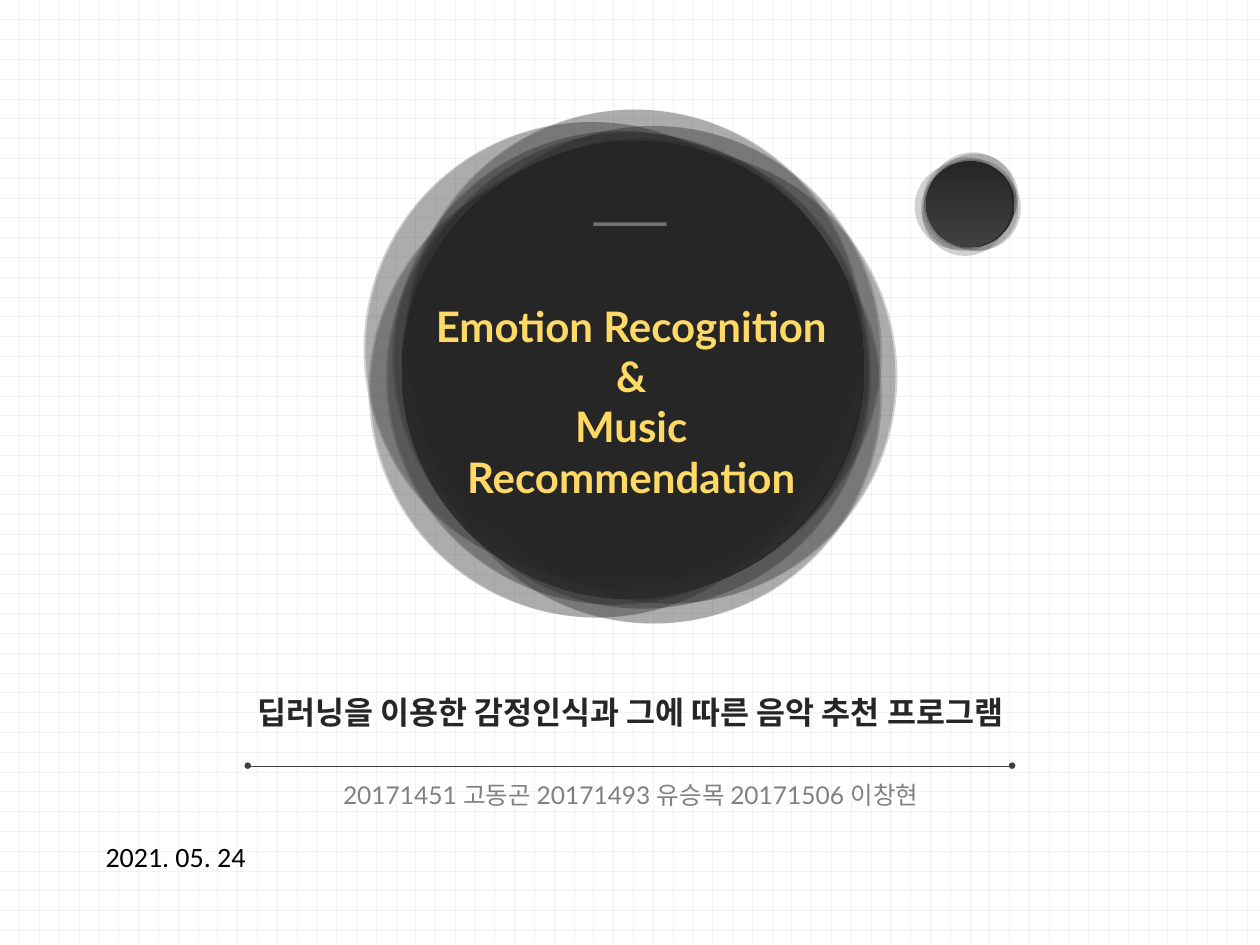
from copy import deepcopy
from dataclasses import dataclass

from lxml.etree import SubElement
from pptx import Presentation
from pptx.dml.color import RGBColor as Rgb
from pptx.enum.dml import MSO_PATTERN as Pattern
from pptx.enum.shapes import MSO_CONNECTOR as Connector, MSO_SHAPE as Preset
from pptx.enum.text import MSO_ANCHOR as Anchor, MSO_AUTO_SIZE as AutoSize, PP_ALIGN as Align
from pptx.oxml.ns import qn
from pptx.util import Cm, Pt


@dataclass(frozen=True)
class Theme:
    white: str = "FFFFFF"
    grid: str = "F2F2F2"
    ink: str = "262626"
    soft_ink: str = "404040"
    grey: str = "808080"
    gold: str = "FFD966"
    black: str = "000000"
    font: str = "Lato"
    date_font: str = "Calibri"
    title_size: int = 24
    subtitle_size: int = 18
    date_size: int = 16
    names_size: int = 14


@dataclass(frozen=True)
class Cluster:
    left: float
    top: float
    diameter: float
    base: tuple[float, float]
    sheen: tuple[float, float, float]
    rings: tuple[tuple[float, float], ...]
    has_core: bool = True


THEME = Theme()
LARGE_RINGS = (
    (0.51, -0.36), (-0.15, -0.26), (-0.28, 0.12), (0.28, 0.2), (0.03, -0.23), (0.28, -0.11),
    (-0.63, 0.38), (0.51, 0.5), (-0.73, -0.44), (0.13, -0.69), (0.82, 0.1),
)
SMALL_RINGS = (
    (0.1, -0.05), (-0.05, -0.08), (-0.05, 0.03), (0.13, 0.08), (0, -0.03), (0.08, -0.18),
    (-0.1, 0.08), (-0.08, 0.18), (-0.23, 0.05), (0.13, -0.15), (0.18, 0.08),
)
LARGE = {"top": 2.9, "diameter": 9.17, "base": (0.15, -0.06), "sheen": (0.2, 0.25, 8.66),
         "rings": LARGE_RINGS}
CLUSTERS = (
    Cluster(left=8.1, **LARGE),
    Cluster(18.67, 3.25, 1.73, (0.05, 0), (0.05, 0.05, 1.63), SMALL_RINGS),
    Cluster(left=8.06, has_core=False, **LARGE),
)


def set_opacity(shape, *percents: float) -> None:
    """Give the shape's colours, in order, the given opacities."""
    for color, percent in zip(shape.element.spPr.iter(qn("a:srgbClr")), percents):
        SubElement(color, qn("a:alpha")).set("val", str(int(percent * 1000)))


def add_plain(shapes, preset, left: float, top: float, width: float, height: float):
    """Add a preset shape without line or shadow."""
    shape = shapes.add_shape(preset, Cm(left), Cm(top), Cm(width), Cm(height))
    shape.shadow.inherit = False
    shape.line.fill.background()
    return shape


def fill_solid(shape, color: str) -> None:
    """Fill the shape with one colour."""
    shape.fill.solid()
    shape.fill.fore_color.rgb = Rgb.from_string(color)


def fill_gradient(shape, colors: tuple[str, str], angle: float) -> None:
    """Fill the shape with a linear gradient of two colours."""
    shape.fill.gradient()
    shape.fill.gradient_angle = angle
    for stop, color in zip(shape.fill.gradient_stops, colors):
        stop.color.rgb = Rgb.from_string(color)


def add_disc(shapes, left: float, top: float, diameter: float) -> None:
    """Add a dark disc with a vertical gradient."""
    disc = add_plain(shapes, Preset.OVAL, left, top, diameter, diameter)
    fill_gradient(disc, (THEME.ink, THEME.soft_ink), 270)


def add_cluster(page, cluster: Cluster) -> None:
    """Draw a group of overlapping translucent circles."""
    shapes = page.shapes.add_group_shape().shapes
    left, top, diameter = cluster.left, cluster.top, cluster.diameter
    sheen_x, sheen_y, sheen_size = cluster.sheen
    sheen = add_plain(shapes, Preset.CHORD, left + sheen_x, top + sheen_y, sheen_size, sheen_size)
    for index, degrees in enumerate((39.21, 147.6)):
        sheen.adjustments[index] = degrees * 0.6
    fill_gradient(sheen, (THEME.white, THEME.white), 0)
    set_opacity(sheen, 0, 7)
    add_disc(shapes, left + cluster.base[0], top + cluster.base[1], diameter)
    for shift_x, shift_y in cluster.rings:
        ring = add_plain(shapes, Preset.OVAL, left + shift_x, top + shift_y, diameter, diameter)
        fill_solid(ring, THEME.ink)
        set_opacity(ring, 21)
    if cluster.has_core:
        add_disc(shapes, left, top, diameter)


def add_rule(page, left: float, right: float, y: float, color: str, weight: float,
             opacity: float = 100) -> None:
    """Draw a horizontal line."""
    rule = page.shapes.add_connector(Connector.STRAIGHT, Cm(left), Cm(y), Cm(right), Cm(y))
    rule.line.width = Pt(weight)
    rule.line.color.rgb = Rgb.from_string(color)
    if opacity < 100:
        set_opacity(rule, opacity)
    SubElement(rule.element.spPr, qn("a:effectLst"))


def write(box, text: str, *, size: int, color: str, font: str = THEME.font, bold: bool = False,
          align=Align.CENTER, anchor=Anchor.TOP, wrap: bool = True, inset: bool = False,
          fit=AutoSize.SHAPE_TO_FIT_TEXT) -> None:
    """Write formatted text into a box."""
    frame = box.text_frame
    frame.word_wrap = wrap
    frame.auto_size = fit
    frame.vertical_anchor = anchor
    if not inset:
        frame.margin_left = frame.margin_top = frame.margin_right = frame.margin_bottom = 0
    para = frame.paragraphs[0]
    para.text = text
    para.alignment = align
    for span in para.runs:
        span.font.name = font
        span.font.size = Pt(size)
        span.font.bold = bold
        span.font.color.rgb = Rgb.from_string(color)
    properties = box.element.find(".//" + qn("a:rPr"))
    for line_break in box.element.iter(qn("a:br")):
        line_break.append(deepcopy(properties))


def add_text(page, left: float, top: float, width: float, height: float, text: str,
             **style) -> None:
    """Add a text box with formatted text."""
    box = page.shapes.add_textbox(Cm(left), Cm(top), Cm(width), Cm(height))
    write(box, text, **style)


def place_title(page) -> None:
    """Bring the title in front of the circles and fill it."""
    title = page.shapes.title
    title.left, title.top, title.width, title.height = Cm(8.38), Cm(6.05), Cm(8.69), Cm(3.05)
    title.element.getparent().append(title.element)
    write(title, "Emotion Recognition\v&\vMusic Recommendation", size=THEME.title_size,
          color=THEME.gold, bold=True, fit=AutoSize.NONE)


def main() -> None:
    """Build the cover slide and save the deck."""
    deck = Presentation()
    deck.slide_width, deck.slide_height = Cm(25.4), Cm(19.05)
    page = deck.slides.add_slide(deck.slide_layouts[5])
    paper = add_plain(page.shapes, Preset.RECTANGLE, 0, 0, 25.4, 19.05)
    paper.fill.patterned()
    paper.fill.pattern = Pattern.DOTTED_GRID
    paper.fill.fore_color.rgb = Rgb.from_string(THEME.grid)
    paper.fill.back_color.rgb = Rgb.from_string(THEME.white)
    for cluster in CLUSTERS:
        add_cluster(page, cluster)
    add_text(page, 4.7, 15.72, 16.03, 0.61, "20171451 고동곤 20171493 유승목 20171506 이창현",
             size=THEME.names_size, color=THEME.grey)
    add_rule(page, 4.93, 20.47, 15.44, THEME.soft_ink, 0.25)
    add_text(page, 4.5, 13.97, 16.41, 0.76, "딥러닝을 이용한 감정인식과 그에 따른 음악 추천 프로그램",
             size=THEME.subtitle_size, color=THEME.ink, bold=True, anchor=Anchor.MIDDLE, wrap=False)
    for left in (4.93, 20.34):
        fill_solid(add_plain(page.shapes, Preset.OVAL, left, 15.37, 0.13, 0.13), THEME.soft_ink)
    add_rule(page, 11.96, 13.44, 4.52, THEME.white, 2, opacity=34)
    place_title(page)
    add_text(page, 1.88, 16.79, 4.67, 0.94, "2021. 05. 24", size=THEME.date_size,
             color=THEME.black, font=THEME.date_font, align=Align.LEFT, inset=True)
    deck.save("out.pptx")


if __name__ == "__main__":
    main()
